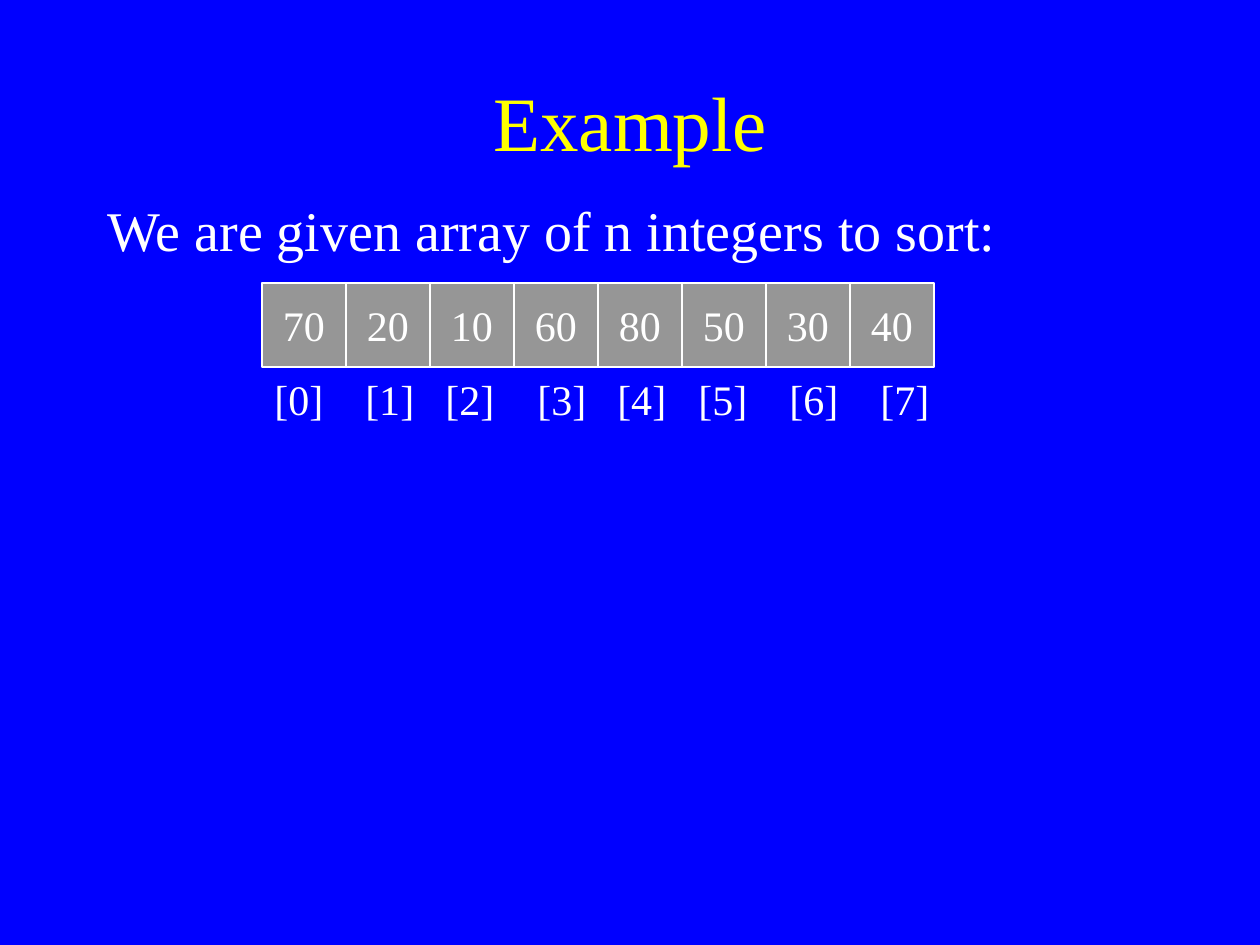
import itertools

import pptx
import pptx.dml.color
import pptx.enum.shapes
import pptx.enum.text
import pptx.oxml.ns
import pptx.util
from lxml import etree

TITLE = "Example"
INTRO = "We are given array of n integers to sort:"
VALUES = [70, 20, 10, 60, 80, 50, 30, 40]
INDEX_STEPS = [91, 80, 92, 80, 81, 91, 91]

BLUE = pptx.dml.color.RGBColor(0x00, 0x00, 0xFF)
YELLOW = pptx.dml.color.RGBColor(0xFF, 0xFF, 0x00)
WHITE = pptx.dml.color.RGBColor(0xFF, 0xFF, 0xFF)
GRAY = pptx.dml.color.RGBColor(0x96, 0x96, 0x96)

FONT = "Times New Roman"
PIXEL = 914400 // 126
ARRAY_LEFT, ARRAY_TOP, CELL = 262, 283, 84

LEFT = pptx.enum.text.PP_ALIGN.LEFT
CENTER = pptx.enum.text.PP_ALIGN.CENTER
TOP = pptx.enum.text.MSO_ANCHOR.TOP
MIDDLE = pptx.enum.text.MSO_ANCHOR.MIDDLE


def scaled(*pixels):
    """Turn pixel lengths into EMU."""
    return [pptx.util.Emu(length * PIXEL) for length in pixels]


def write(shape, text, size, color=WHITE, align=CENTER, anchor=MIDDLE, wrap=False):
    """Put one styled run in a shape and return its paragraph."""
    frame = shape.text_frame
    frame.word_wrap = wrap
    frame.vertical_anchor = anchor
    paragraph = frame.paragraphs[0]
    paragraph.alignment = align
    run = paragraph.add_run()
    run.text = text
    run.font.name = FONT
    run.font.size = pptx.util.Pt(size)
    run.font.color.rgb = color
    return paragraph


def add_cell(shapes, position, value):
    """Draw one array cell."""
    cell = shapes.add_shape(
        pptx.enum.shapes.MSO_SHAPE.RECTANGLE,
        *scaled(ARRAY_LEFT + position * CELL, ARRAY_TOP, CELL, CELL))
    cell.shadow.inherit = False
    cell.fill.solid()
    cell.fill.fore_color.rgb = GRAY
    cell.line.color.rgb = WHITE
    cell.line.width = pptx.util.Pt(0.75)
    write(cell, str(value), 24)


def add_tab_stops(paragraph, stops):
    """Give a paragraph left tab stops at pixel offsets."""
    properties = paragraph._p.get_or_add_pPr()
    tabs = etree.SubElement(properties, pptx.oxml.ns.qn("a:tabLst"))
    for stop in scaled(*stops):
        etree.SubElement(tabs, pptx.oxml.ns.qn("a:tab"), pos=str(stop), algn="l")


deck = pptx.Presentation()
deck.slide_width, deck.slide_height = scaled(1260, 945)
slide = deck.slides.add_slide(deck.slide_layouts[6])
slide.background.fill.solid()
slide.background.fill.fore_color.rgb = BLUE
shapes = slide.shapes

title = shapes.add_textbox(*scaled(95, 42, 1071, 157))
write(title, TITLE, 44, YELLOW, wrap=True)

intro = shapes.add_textbox(*scaled(95, 189, 1071, 199))
intro_line = write(intro, INTRO, 32, align=LEFT, anchor=TOP, wrap=True)
intro_line.space_before = pptx.util.Pt(4)

for position, value in enumerate(VALUES):
    add_cell(shapes, position, value)

indexes = shapes.add_textbox(*scaled(ARRAY_LEFT, 367, 722, 63))
index_text = "\t".join(f"[{position}]" for position in range(len(VALUES)))
index_line = write(indexes, index_text, 24, align=LEFT, anchor=TOP)
add_tab_stops(index_line, itertools.accumulate(INDEX_STEPS))

deck.save("out.pptx")
